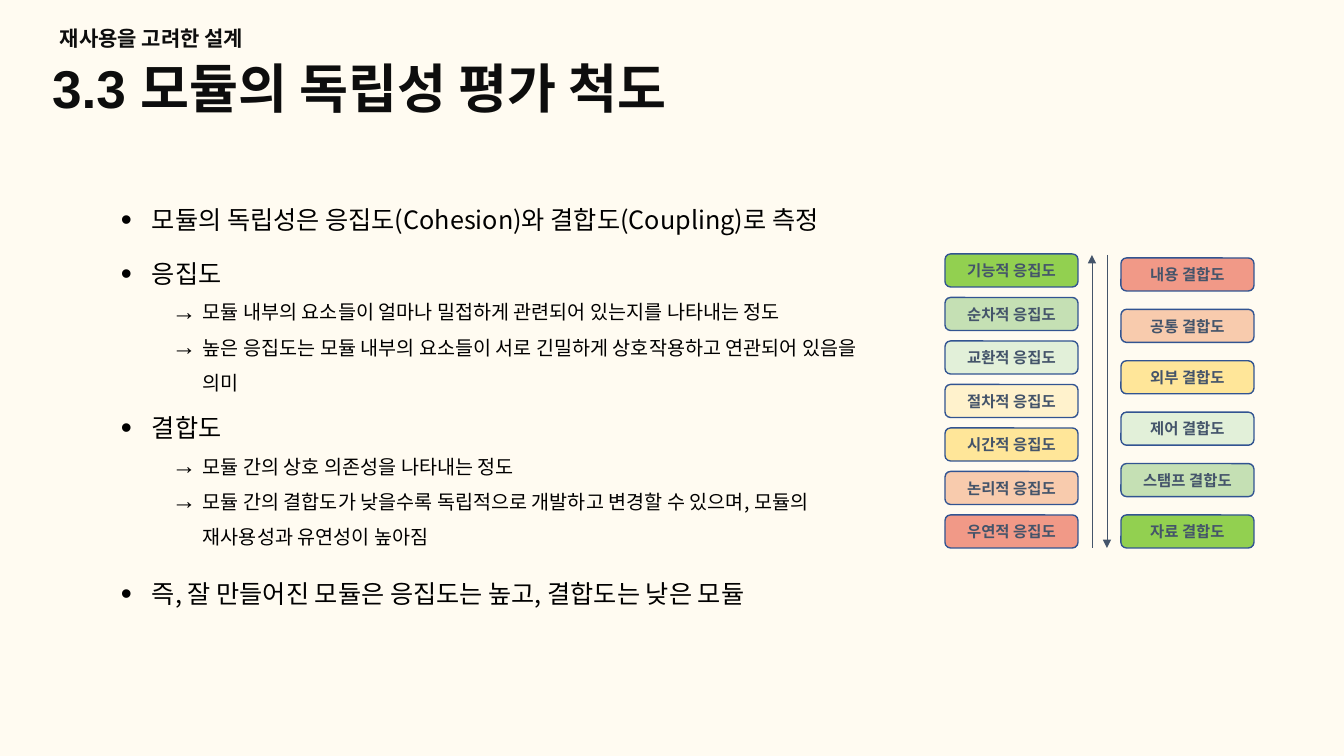
from lxml import etree
from pptx import Presentation
from pptx import util as u
from pptx.dml.color import RGBColor
from pptx.enum import shapes, text
from pptx.oxml.ns import qn

# Content
TITLE = "3.3 모듈의 독립성 평가 척도"
CHAPTER = "재사용을 고려한 설계"
HEADING_FONT, BODY_FONT = "Arial", "Noto Sans CJK KR"
BACKGROUND, INK, BLACK = "FFFBF1", "0D0D0D", "000000"
SLATE, OUTLINE = "44546A", "325491"

# level, space before in points, text
POINTS = [
    (0, 0, "모듈의 독립성은 응집도(Cohesion)와 결합도(Coupling)로 측정"),
    (0, 16.5, "응집도"),
    (1, 0, "모듈 내부의 요소들이 얼마나 밀접하게 관련되어 있는지를 나타내는 정도"),
    (1, 0, "높은 응집도는 모듈 내부의 요소들이 서로 긴밀하게 상호작용하고 연관되어 있음을\v의미"),
    (0, 12.5, "결합도"),
    (1, 0, "모듈 간의 상호 의존성을 나타내는 정도"),
    (1, 0, "모듈 간의 결합도가 낮을수록 독립적으로 개발하고 변경할 수 있으며, 모듈의\v재사용성과 유연성이 높아짐"),
    (0, 21, "즉, 잘 만들어진 모듈은 응집도는 높고, 결합도는 낮은 모듈"),
]
# level: bullet, text size, line height, left margin in px
LEVELS = {0: ("•", 18, 22, 31), 1: ("→", 14, 25.2, 82)}
HANGING = 31

COHESION = [
    ("기능적 응집도", "92D050"), ("순차적 응집도", "C5E0B4"),
    ("교환적 응집도", "E2F0D9"), ("절차적 응집도", "FFF2CC"),
    ("시간적 응집도", "FFE699"), ("논리적 응집도", "F8CBAD"),
    ("우연적 응집도", "F19987"),
]
COUPLING = [
    ("내용 결합도", "F19987"), ("공통 결합도", "F8CBAD"),
    ("외부 결합도", "FFE699"), ("제어 결합도", "E2F0D9"),
    ("스탬프 결합도", "C5E0B4"), ("자료 결합도", "92D050"),
]
LAST_TOP, BOX_WIDTH, BOX_HEIGHT = 515, 133, 33
SCALES = [(945, 254, COHESION), (1121, 258, COUPLING)]  # left, first top, boxes
ARROWS = [(1092, 548, 255), (1107, 255, 548)]  # x, start y, end y


def px(length):
    return u.Emu(round(length * 914400 / 100.8))


def color(value):
    return RGBColor.from_string(value)


def format_runs(paragraph, size, font, value, bold=False):
    for run in paragraph.runs:
        run.font.size = u.Pt(size)
        run.font.name = font
        run.font.bold = bold
        run.font.color.rgb = color(value)
        east_asian = etree.SubElement(run.font._element, qn("a:ea"))
        east_asian.set("typeface", BODY_FONT)


def add_bullet(paragraph, bullet, margin):
    properties = paragraph._p.get_or_add_pPr()
    properties.set("marL", str(px(margin)))
    properties.set("indent", str(-px(HANGING)))
    for tag, name, value in (("a:buSzPct", "val", "125000"),
                             ("a:buFont", "typeface", "Arial"),
                             ("a:buChar", "char", bullet)):
        etree.SubElement(properties, qn(tag)).set(name, value)


def place(shape, left, top, width, height):
    shape.left, shape.top = px(left), px(top)
    shape.width, shape.height = px(width), px(height)


def set_heading(shape, content, size, line_height):
    frame = shape.text_frame
    frame.text = content
    frame.word_wrap = True
    frame.auto_size = text.MSO_AUTO_SIZE.NONE
    frame.vertical_anchor = text.MSO_ANCHOR.TOP
    paragraph = frame.paragraphs[0]
    paragraph.alignment = text.PP_ALIGN.LEFT
    paragraph.line_spacing = u.Pt(line_height)
    format_runs(paragraph, size, HEADING_FONT, INK, True)


def add_points(slide):
    box = slide.shapes.add_textbox(px(111), px(199), px(1143), px(443))
    frame = box.text_frame
    frame.word_wrap = True
    for index, (level, space, content) in enumerate(POINTS):
        bullet, size, line_height, margin = LEVELS[level]
        paragraph = frame.add_paragraph() if index else frame.paragraphs[0]
        paragraph.text = content
        paragraph.level = level
        paragraph.line_spacing = u.Pt(line_height)
        paragraph.space_before = u.Pt(space)
        add_bullet(paragraph, bullet, margin)
        format_runs(paragraph, size, BODY_FONT, BLACK)


def add_box(slide, left, top, label, fill):
    box = slide.shapes.add_shape(shapes.MSO_SHAPE.ROUNDED_RECTANGLE,
                                 px(left), px(top), px(BOX_WIDTH), px(BOX_HEIGHT))
    box.shadow.inherit = False
    box.fill.solid()
    box.fill.fore_color.rgb = color(fill)
    box.line.color.rgb = color(OUTLINE)
    box.line.width = u.Pt(1)
    frame = box.text_frame
    frame.margin_left = frame.margin_right = frame.margin_top = frame.margin_bottom = 0
    frame.vertical_anchor = text.MSO_ANCHOR.MIDDLE
    frame.text = label
    frame.paragraphs[0].alignment = text.PP_ALIGN.CENTER
    format_runs(frame.paragraphs[0], 11, BODY_FONT, SLATE, True)


def add_arrow(slide, x, start, end):
    arrow = slide.shapes.add_connector(shapes.MSO_CONNECTOR.STRAIGHT,
                                       px(x), px(start), px(x), px(end))
    arrow.line.color.rgb = color(SLATE)
    arrow.line.width = u.Pt(0.5)
    etree.SubElement(arrow.line._get_or_add_ln(), qn("a:tailEnd")).set("type", "triangle")
    etree.SubElement(arrow._element.spPr, qn("a:effectLst"))


def main():
    presentation = Presentation()
    presentation.slide_width, presentation.slide_height = px(1344), px(756)
    slide = presentation.slides.add_slide(presentation.slide_layouts[5])
    slide.background.fill.solid()
    slide.background.fill.fore_color.rgb = color(BACKGROUND)

    # Headings
    title = slide.shapes.title
    place(title, 42, 45, 1117, 75)
    set_heading(title, TITLE, 38, 49)
    chapter = slide.shapes.add_textbox(px(50), px(19), px(270), px(35))
    set_heading(chapter, CHAPTER, 15, 19)

    # Bulleted text
    add_points(slide)

    # Cohesion and coupling scales
    for left, first_top, boxes in SCALES:
        pitch = (LAST_TOP - first_top) / (len(boxes) - 1)
        for index, (label, fill) in enumerate(boxes):
            add_box(slide, left, first_top + index * pitch, label, fill)
    for x, start, end in ARROWS:
        add_arrow(slide, x, start, end)

    presentation.save("out.pptx")


if __name__ == "__main__":
    main()
